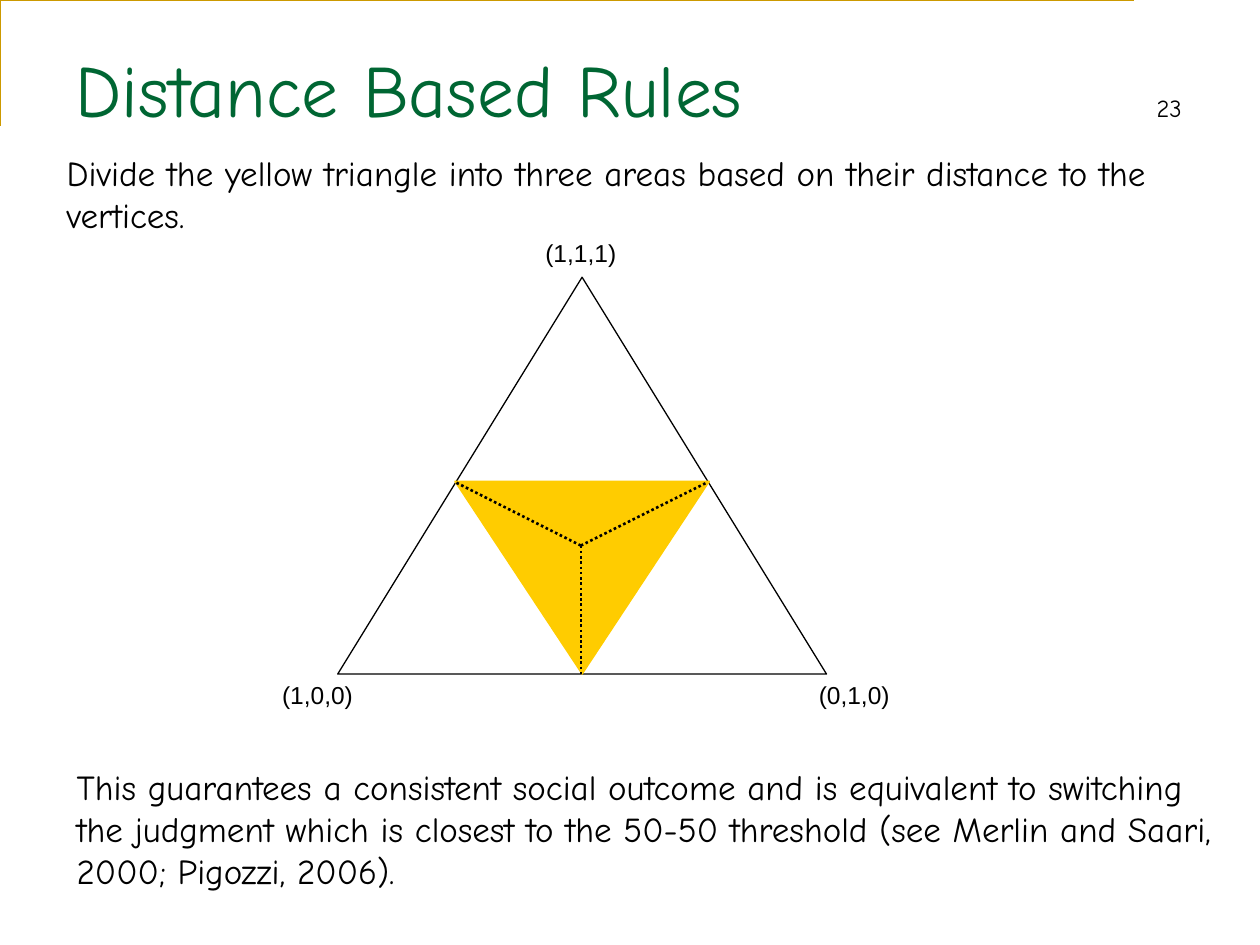
import pptx
import pptx.util
import pptx.dml.color
import pptx.enum.dml
import pptx.enum.shapes
import pptx.enum.text
import pptx.oxml
import pptx.oxml.ns

Inch = pptx.util.Inches
Pt = pptx.util.Pt
SHAPE = pptx.enum.shapes.MSO_SHAPE.ISOSCELES_TRIANGLE
HAND = "Comic Neue"

TITLE, PAGE = "Distance Based Rules", "23"
BODY = [
    (0.43, 1.15, 0.77, "Divide the yellow triangle into three areas based on "
     "their distance to the vertices."),
    (0.51, 6.03, 1.1, "This guarantees a consistent social outcome and is "
     "equivalent to switching the judgment which is closest to the 50-50 "
     "threshold (see Merlin and Saari, 2000; Pigozzi, 2006)."),
]
LABELS = [("(1,0,0)", 2.14, 5.35), ("(0,1,0)", 6.4, 5.35), ("(1,1,1)", 4.23, 1.84)]
AREAS = [((2.68, 2.2, 3.88, 3.15), 0, None, "000000"),
         ((3.61, 3.82, 2.02, 1.53), 180, "FFCC00", "FFCC00")]
FRAME = [(0.42, 0.92), (0.42, 0.25), (9.42, 0.25)]
CENTER = (4.61, 4.33)
ENDS = [(3.62, 3.83), (5.61, 3.83), (4.61, 5.35)]


def color(code):
    return pptx.dml.color.RGBColor.from_string(code)


def style(font, size, name, code="000000"):
    font.size, font.name = Pt(size), name
    font.color.rgb = color(code)


def stroke(shape, code, width):
    shape.line.color.rgb = color(code)
    shape.line.width = Pt(width)


def label(slide, text, box, size, name, wrap):
    frame = slide.shapes.add_textbox(*map(Inch, box)).text_frame
    frame.word_wrap = wrap
    frame.text = text
    style(frame.paragraphs[0].runs[0].font, size, name)


def head(slide):
    title = slide.shapes.title
    title.left, title.top, title.width, title.height = map(Inch, (0.5, 0.3, 9, 1.25))
    frame = title.text_frame
    frame.auto_size = pptx.enum.text.MSO_AUTO_SIZE.NONE
    frame.vertical_anchor = pptx.enum.text.MSO_ANCHOR.TOP
    frame.text = TITLE
    para = frame.paragraphs[0]
    para.alignment = pptx.enum.text.PP_ALIGN.LEFT
    tabs = pptx.oxml.parse_xml(
        f'<a:tabLst {pptx.oxml.ns.nsdecls("a")}>'
        f'<a:tab pos="{Inch(8.78)}" algn="r"/></a:tabLst>')
    para._p.get_or_add_pPr().append(tabs)
    para.add_run().text = "\t" + PAGE
    for run, size, code in zip(para.runs, (42, 14), ("006633", "000000")):
        style(run.font, size, HAND, code)


def border(slide):
    path = slide.shapes.build_freeform(*FRAME[0], scale=Inch(1))
    path.add_line_segments(FRAME[1:], close=False)
    shape = path.convert_to_shape()
    shape.shadow.inherit = False
    shape.fill.background()
    stroke(shape, "CC9900", 1.5)


def figure(slide):
    for box, turn, fill, edge in AREAS:
        shape = slide.shapes.add_shape(SHAPE, *map(Inch, box))
        shape.shadow.inherit = False
        shape.rotation = turn
        if fill:
            shape.fill.solid()
            shape.fill.fore_color.rgb = color(fill)
        else:
            shape.fill.background()
        stroke(shape, edge, 0.75)
    for text, left, top in LABELS:
        label(slide, text, (left, top, 0.77, 0.34), 14, "Arial", False)
    for end in ENDS:
        line = slide.shapes.add_connector(
            pptx.enum.shapes.MSO_CONNECTOR.STRAIGHT, *map(Inch, CENTER + end))
        stroke(line, "000000", 1.5)
        line.line.dash_style = pptx.enum.dml.MSO_LINE.ROUND_DOT
        line._element.spPr.append(pptx.oxml.parse_xml(
            f'<a:effectLst {pptx.oxml.ns.nsdecls("a")}/>'))


def main():
    deck = pptx.Presentation()
    deck.slide_width, deck.slide_height = Inch(10), Inch(7.5)
    slide = deck.slides.add_slide(deck.slide_layouts[5])
    border(slide)
    head(slide)
    figure(slide)
    for left, top, high, text in BODY:
        label(slide, text, (left, top, 9.29, high), 20, HAND, True)
    deck.save("out.pptx")


if __name__ == "__main__":
    main()
